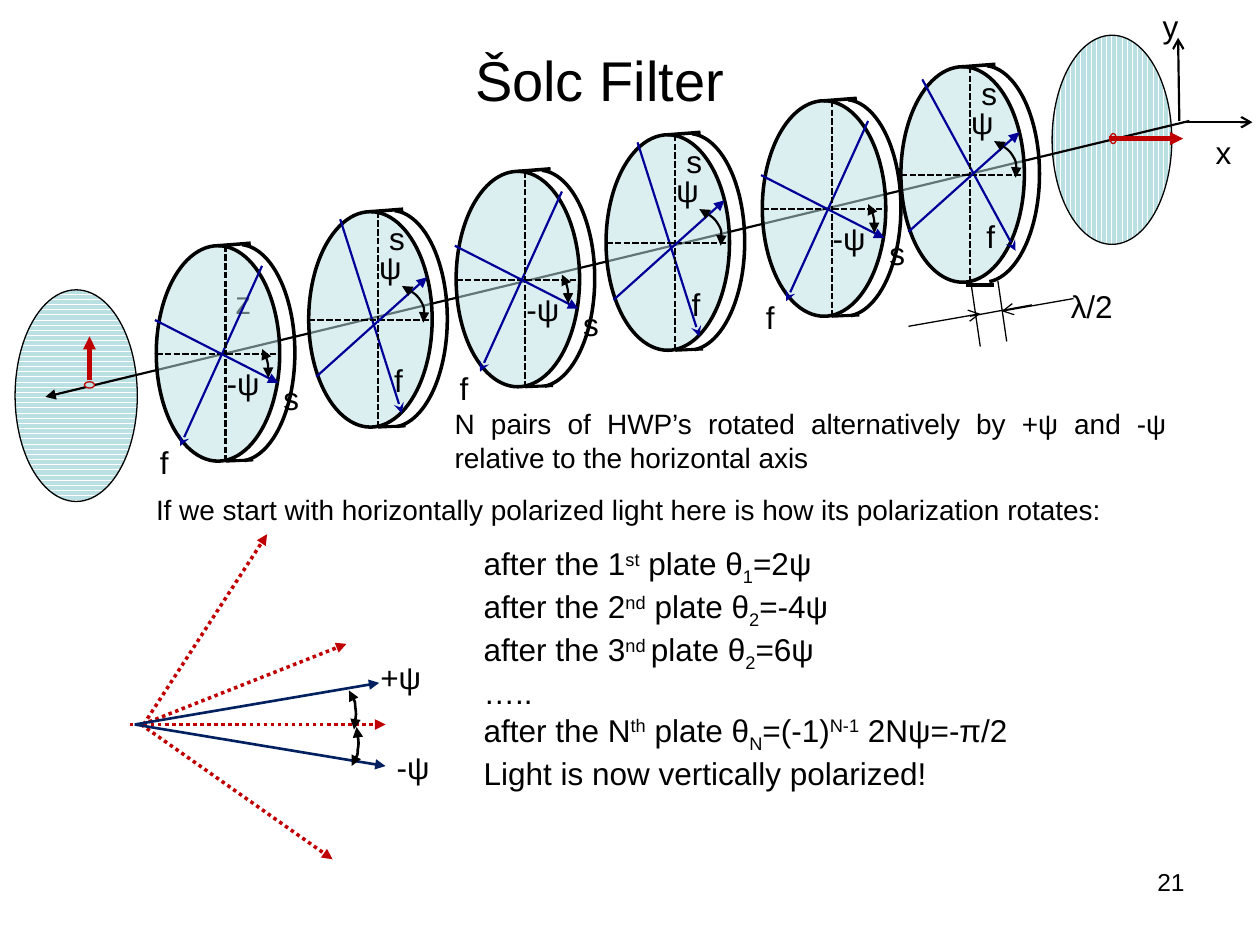
from dataclasses import dataclass

from lxml.etree import SubElement
from pptx import Presentation
from pptx.dml.color import RGBColor
from pptx.enum.dml import MSO_LINE, MSO_PATTERN
from pptx.enum.shapes import MSO_CONNECTOR, MSO_SHAPE
from pptx.enum.text import MSO_ANCHOR, MSO_AUTO_SIZE, PP_ALIGN
from pptx.oxml.ns import qn
from pptx.util import Inches, Pt


@dataclass(frozen=True)
class Theme:
    font: str = "Arial"
    black: str = "000000"
    white: str = "FFFFFF"
    glass: str = "BBE0E3"
    axis: str = "000099"
    navy: str = "002060"
    red: str = "C00000"
    title: int = 32
    label: int = 18
    body: int = 16
    number: int = 14


THEME = Theme()
PLATE = (0.98, 1.71)

# Content: plates from back to front as (left, top, sign of psi)
PLATES = [(4.81, 1.07, 1), (6.05, 0.80, -1), (3.62, 1.36, -1),
          (2.45, 1.68, 1), (1.24, 1.95, -1), (7.15, 0.53, 1)]

# Parts that depend on the sign, measured from the plate's corner
TILTS = {
    1: {"fast": ((0.25, 0.06), (0.74, 1.60)), "slow": ((0.06, 1.31), (0.94, 0.52)),
        "arc": [(0.74, 0.59), (0.80, 0.62), (0.86, 0.66), (0.89, 0.71),
                (0.92, 0.76), (0.92, 0.82), (0.91, 0.88)],
        "labels": [("f", 0.58, 1.14, 0.27), ("s", 0.54, 0.01, 0.33), ("ψ", 0.46, 0.24, 0.38)]},
    -1: {"fast": ((0.84, 0.16), (0.19, 1.59)), "slow": ((-0.01, 0.59), (0.97, 1.09)),
         "arc": [(0.84, 0.82), (0.85, 0.85), (0.87, 0.88), (0.88, 0.91),
                 (0.89, 0.95), (0.89, 1.00), (0.89, 1.05)],
         "labels": [("f", -0.07, 1.52, 0.27), ("s", 0.91, 1.01, 0.33), ("-ψ", 0.46, 0.89, 0.47)]},
}
LAST_FAST = ((0.17, 0.10), (0.91, 1.46))

# Half-wave thickness marks on the last plate: start, end, arrowhead
THICKNESS = [((7.71, 2.27), (7.78, 2.75), None), ((7.92, 2.23), (7.99, 2.71), None),
             ((7.21, 2.59), (7.78, 2.49), "arrow"), ((8.52, 2.37), (7.95, 2.47), "arrow"),
             ((8.19, 2.42), (7.70, 2.51), None)]

# Polarization fan
POLARIZATIONS = [((1.03, 5.75), (3.06, 5.75)), ((1.13, 5.75), (2.75, 5.11)),
                 ((1.12, 5.75), (2.64, 6.82)), ((1.14, 5.75), (2.12, 4.24))]
FAN_AXES = [(3.06, 6.08), (3.01, 5.42)]
FAN_ARCS = [
    [(2.77, 5.48), (2.79, 5.52), (2.82, 5.56), (2.82, 5.61), (2.83, 5.67), (2.82, 5.73), (2.81, 5.79)],
    [(2.79, 6.08), (2.81, 6.04), (2.84, 6.00), (2.84, 5.95), (2.85, 5.90), (2.84, 5.83), (2.83, 5.77)],
]

SETUP = "N pairs of HWP’s rotated alternatively by +ψ and -ψ relative to the horizontal axis"
START = "If we start with horizontally polarized light here is how its polarization rotates:"
UP, DOWN = 30000, -25000
STEPS = [
    [("after the 1", 0), ("st", UP), (" plate θ", 0), ("1", DOWN), ("=2ψ", 0)],
    [("after the 2", 0), ("nd", UP), (" plate θ", 0), ("2", DOWN), ("=-4ψ", 0)],
    [("after the 3", 0), ("nd ", UP), ("plate θ", 0), ("2", DOWN), ("=6ψ", 0)],
    [("…..", 0)],
    [("after the N", 0), ("th", UP), (" plate θ", 0), ("N", DOWN), ("=(-1)", 0),
     ("N-1", UP), (" 2Nψ=-π/2", 0)],
    [("Light is now vertically polarized!", 0)],
]


def rgb(color):
    return RGBColor.from_string(color)


def inches(*values):
    return [Inches(value) for value in values]


def style_line(shape, color, width, head=None, tail=None, dash=None):
    shape.line.color.rgb = rgb(color)
    shape.line.width = Pt(width)
    if dash:
        shape.line.dash_style = dash
    properties = shape._element.spPr
    for tag, kind in (("a:headEnd", head), ("a:tailEnd", tail)):
        if kind:
            SubElement(properties.find(qn("a:ln")), qn(tag), type=kind)


def add_line(shapes, start, end, color=THEME.black, width=1.25, tail=None, dash=None):
    line = shapes.add_connector(MSO_CONNECTOR.STRAIGHT, *inches(*start, *end))
    style_line(line, color, width, tail=tail, dash=dash)
    SubElement(line._element.spPr, qn("a:effectLst"))


def add_curve(shapes, points, width=1.25):
    """Two-headed curve whose points are successive Bezier control points."""
    pairs = [tuple(inches(*point)) for point in points]
    builder = shapes.build_freeform(*pairs[0])
    builder.add_line_segments(pairs[1:], close=False)
    curve = builder.convert_to_shape()
    curve.shadow.inherit = False
    curve.fill.background()
    style_line(curve, THEME.black, width, "triangle", "triangle")
    outline = next(curve._element.iter(qn("a:path")))
    segments = outline.findall(qn("a:lnTo"))
    for first in range(0, len(segments), 3):
        bezier = SubElement(outline, qn("a:cubicBezTo"))
        for segment in segments[first:first + 3]:
            bezier.append(segment[0])
            outline.remove(segment)


def add_outline(shapes, kind, box, color=THEME.black, width=0.75):
    shape = shapes.add_shape(kind, *inches(*box))
    shape.shadow.inherit = False
    style_line(shape, color, width)
    return shape


def add_run(paragraph, text, size, baseline=0):
    run = paragraph.add_run()
    run.text = text
    run.font.name = THEME.font
    run.font.size = Pt(size)
    run.font.color.rgb = rgb(THEME.black)
    if baseline:
        run._r.get_or_add_rPr().set("baseline", str(baseline))


def add_text(shapes, box, lines, size=THEME.label, align=PP_ALIGN.LEFT, wrap=False):
    frame = shapes.add_textbox(*inches(*box)).text_frame
    frame.word_wrap = wrap
    frame.auto_size = MSO_AUTO_SIZE.SHAPE_TO_FIT_TEXT
    for index, runs in enumerate(lines):
        paragraph = frame.add_paragraph() if index else frame.paragraphs[0]
        paragraph.alignment = align
        for text, baseline in runs:
            add_run(paragraph, text, size, baseline)


def add_label(shapes, text, left, top, width):
    add_text(shapes, (left, top, width, 0.4), [[(text, 0)]])


def add_polarizer(shapes, box, pattern):
    disc = add_outline(shapes, MSO_SHAPE.OVAL, box)
    disc.fill.patterned()
    disc.fill.pattern = pattern
    disc.fill.fore_color.rgb = rgb(THEME.glass)
    disc.fill.back_color.rgb = rgb(THEME.white)


def add_plate(shapes, left, top, sign, last):
    def at(point):
        return left + point[0], top + point[1]

    tilt = TILTS[sign]
    width, height = PLATE
    disc = add_outline(shapes, MSO_SHAPE.OVAL, (left, top, *PLATE), width=2)
    disc.fill.solid()
    disc.fill.fore_color.rgb = rgb(THEME.glass)
    SubElement(next(disc._element.spPr.iter(qn("a:srgbClr"))), qn("a:alpha"), val="52000")
    fast = LAST_FAST if last else tilt["fast"]
    add_line(shapes, *map(at, fast), THEME.axis, tail="stealth")
    # Rim of the plate
    rim = add_outline(shapes, MSO_SHAPE.ARC, (*at((0.21, -0.01)), 0.89, 1.72), width=2)
    rim.fill.background()
    rim.adjustments[0], rim.adjustments[1] = 163.097, 52.122
    add_line(shapes, at((0.75, -0.02)), at((0.49, 0)), width=2)
    bottom = ((0.52, 1.73), (0.74, 1.73)) if last else ((0.55, height), (0.77, 1.7))
    add_line(shapes, *map(at, bottom), width=2 if last else 1.75)
    # Reference axes, slow axis and angle
    for start, end in [((0, 0.86), (width, 0.86)), ((0.55, 0), (0.55, height))]:
        add_line(shapes, at(start), at(end), dash=MSO_LINE.SQUARE_DOT)
    add_line(shapes, *map(at, tilt["slow"]), THEME.axis, tail="triangle")
    add_curve(shapes, [at(point) for point in tilt["arc"]])
    for text, across, down, label_width in tilt["labels"]:
        add_label(shapes, text, *at((across, down)), label_width)


def add_field(shapes, ring, start, end):
    marker = add_outline(shapes, MSO_SHAPE.OVAL, ring, THEME.red)
    marker.fill.solid()
    marker.fill.fore_color.rgb = rgb(THEME.glass)
    add_line(shapes, start, end, THEME.red, 2.5, "triangle")


def main():
    presentation = Presentation()
    presentation.slide_width, presentation.slide_height = inches(10, 7.5)
    slide = presentation.slides.add_slide(presentation.slide_layouts[5])
    shapes = slide.shapes

    # Title and slide number
    title = shapes.title
    title.left, title.top, title.width, title.height = inches(0.26, 0, 9, 1.25)
    title.text_frame.vertical_anchor = MSO_ANCHOR.MIDDLE
    title.text_frame.paragraphs[0].alignment = PP_ALIGN.CENTER
    add_run(title.text_frame.paragraphs[0], "Šolc Filter", THEME.title)
    add_text(shapes, (7.17, 6.83, 2.33, 0.52), [[("21", 0)]], THEME.number, PP_ALIGN.RIGHT, True)

    # Polarizers and coordinate axes
    add_polarizer(shapes, (0.12, 2.3, 0.97, 1.68), MSO_PATTERN.DARK_HORIZONTAL)
    add_polarizer(shapes, (8.35, 0.28, 0.95, 1.66), MSO_PATTERN.DARK_VERTICAL)
    add_line(shapes, (9.44, 0.96), (0.36, 3.15), tail="triangle")
    add_line(shapes, (9.39, 0.97), (9.94, 0.97), tail="arrow")
    add_line(shapes, (9.36, 0.96), (9.35, 0.3), tail="arrow")
    for text, left, top in [("z", 1.77, 2.2), ("x", 9.55, 1.01), ("y", 9.13, 0.01)]:
        add_label(shapes, text, left, top, 0.33)

    # Wave plates
    for plate in PLATES:
        add_plate(shapes.add_group_shape().shapes, *plate, last=plate == PLATES[-1])
    for start, end, tail in THICKNESS:
        add_line(shapes, start, end, width=0.75, tail=tail)
    add_label(shapes, "λ/2", 8.4, 2.23, 0.54)

    # Field directions at both ends
    add_field(shapes, (8.81, 1.06, 0.05, 0.08), (8.8, 1.1), (9.39, 1.1))
    add_field(shapes, (0.67, 3.03, 0.08, 0.05), (0.71, 3.02), (0.71, 2.67))

    # Explanations
    add_text(shapes, (3.51, 3.18, 5.85, 0.64), [[(SETUP, 0)]], THEME.body, PP_ALIGN.JUSTIFY, True)
    add_text(shapes, (1.14, 3.86, 7.8, 0.37), [[(START, 0)]], THEME.body)
    add_text(shapes, (3.74, 4.27, 4.47, 2.22), STEPS)

    # Polarization fan
    for start, end in POLARIZATIONS:
        add_line(shapes, start, end, THEME.red, 2, "triangle", MSO_LINE.ROUND_DOT)
    for end in FAN_AXES:
        add_line(shapes, (1.07, 5.75), end, THEME.navy, 1.5, "triangle")
    for points in FAN_ARCS:
        add_curve(shapes, points, 1.5)
    add_label(shapes, "+ψ", 2.92, 5.17, 0.53)
    add_label(shapes, "-ψ", 3.05, 5.89, 0.47)

    presentation.save("out.pptx")


if __name__ == "__main__":
    main()
